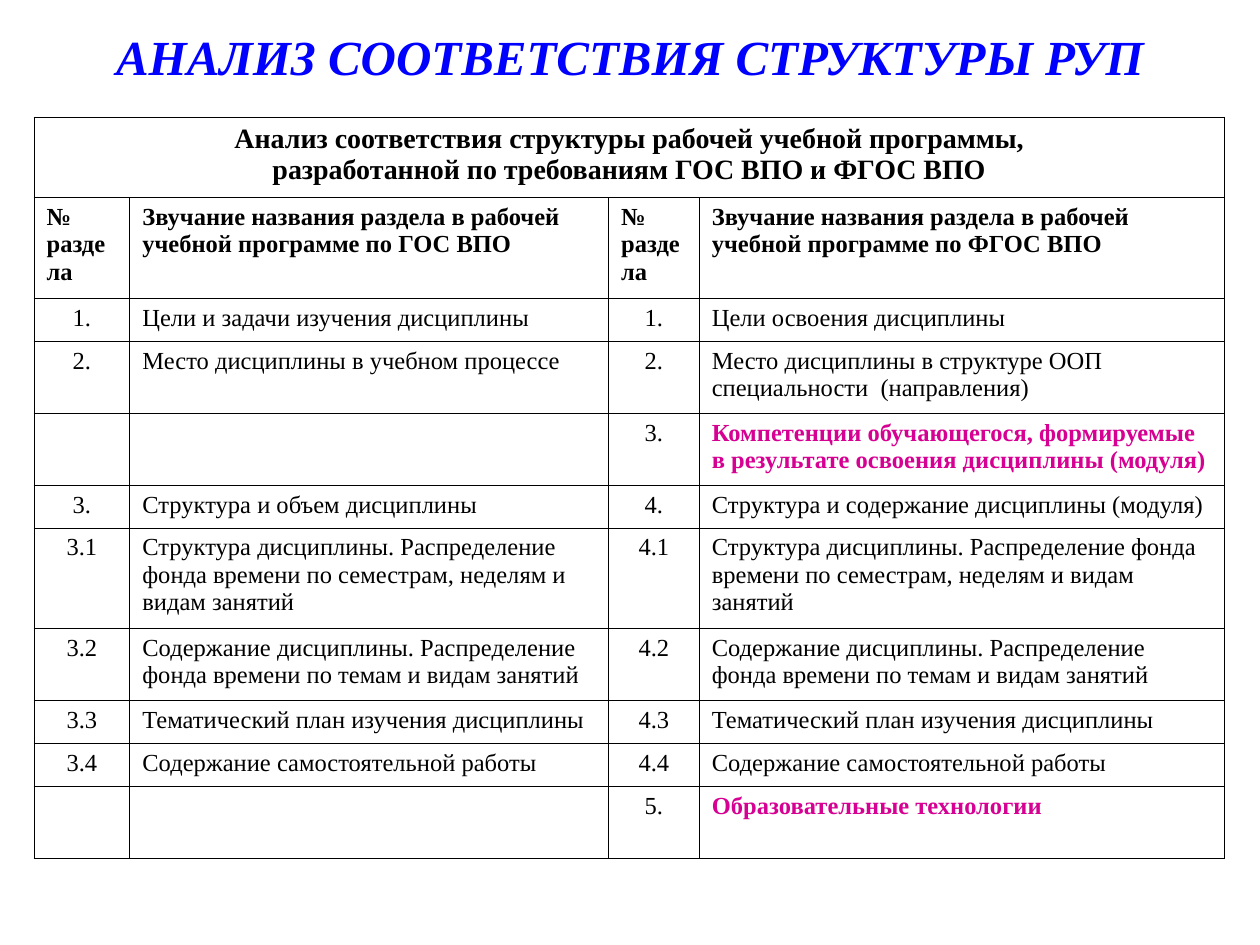
import dataclasses

import lxml.etree
import pptx
import pptx.dml.color
import pptx.enum.text
import pptx.oxml.ns
import pptx.table
import pptx.text.text
import pptx.util

FONT = "Times New Roman"
BLACK, BLUE, MAGENTA = "000000", "0000FF", "D60093"
SLIDE_WIDTH, SLIDE_HEIGHT = 10, 7.5
COLUMN_WIDTHS = (0.76, 3.8, 0.72, 4.17)
BANNER_HEIGHT = 0.64
LINE_HEIGHT, ROW_PADDING = 0.23, 0.11
CENTER = pptx.enum.text.PP_ALIGN.CENTER
LEFT = pptx.enum.text.PP_ALIGN.LEFT


@dataclasses.dataclass(frozen=True)
class TextStyle:
    size: float = 14
    color: str = BLACK
    bold: bool = False
    italic: bool = False
    align: pptx.enum.text.PP_ALIGN = LEFT


@dataclasses.dataclass(frozen=True)
class Section:
    """One comparison row; its height follows from the number of text lines."""
    old_number: str
    old_name: str
    new_number: str
    new_name: str
    lines: int = 1
    is_new: bool = False


TITLE = TextStyle(28, BLUE, bold=True, italic=True, align=CENTER)
BANNER = TextStyle(16, bold=True, align=CENTER)
HEADING = TextStyle(bold=True)
NUMBER = TextStyle(align=CENTER)
NAME = TextStyle()
NEW_NAME = TextStyle(color=MAGENTA, bold=True)

BANNER_TEXT = ("Анализ соответствия структуры рабочей учебной программы,\n"
               "разработанной по требованиям ГОС ВПО и ФГОС ВПО")
NUMBER_HEADING = "№ раздела"
NAME_HEADING = "Звучание названия раздела в рабочей учебной программе по {} ВПО"
HEADINGS = (NUMBER_HEADING, NAME_HEADING.format("ГОС"),
            NUMBER_HEADING, NAME_HEADING.format("ФГОС"))
HEADING_LINES = 3

# Subsections keep their names; only the parent number changes from 3 to 4.
SHARED_SUBSECTIONS = (
    ("Структура дисциплины. Распределение фонда времени по семестрам, "
     "неделям и видам занятий", 3),
    ("Содержание дисциплины. Распределение фонда времени по темам "
     "и видам занятий", 2),
    ("Тематический план изучения дисциплины", 1),
    ("Содержание самостоятельной работы", 1),
)
SECTIONS = (
    Section("1.", "Цели и задачи изучения дисциплины", "1.", "Цели освоения дисциплины"),
    Section("2.", "Место дисциплины в учебном процессе",
            "2.", "Место дисциплины в структуре ООП специальности  (направления)", 2),
    Section("", "", "3.", "Компетенции обучающегося, формируемые в результате "
            "освоения дисциплины (модуля)", 2, is_new=True),
    Section("3.", "Структура и объем дисциплины",
            "4.", "Структура и содержание дисциплины (модуля)"),
    *(Section(f"3.{index}", name, f"4.{index}", name, lines)
      for index, (name, lines) in enumerate(SHARED_SUBSECTIONS, 1)),
    Section("", "", "5.", "Образовательные технологии", 2, is_new=True),
)


def rgb(color: str) -> pptx.dml.color.RGBColor:
    return pptx.dml.color.RGBColor.from_string(color)


def write(frame: pptx.text.text.TextFrame, text: str, style: TextStyle) -> None:
    frame.word_wrap = True
    frame.text = text
    for para in frame.paragraphs:
        para.alignment = style.align
        for span in para.runs:
            span.font.name = FONT
            span.font.size = pptx.util.Pt(style.size)
            span.font.bold = style.bold
            span.font.italic = style.italic
            span.font.color.rgb = rgb(style.color)


def draw_borders(cell: pptx.table._Cell, color: str = BLACK, width: float = 0.45) -> None:
    properties = cell._tc.get_or_add_tcPr()
    qn = pptx.oxml.ns.qn
    for side in ("a:lnL", "a:lnR", "a:lnT", "a:lnB"):
        line = lxml.etree.SubElement(properties, qn(side), w=str(pptx.util.Pt(width)))
        fill = lxml.etree.SubElement(line, qn("a:solidFill"))
        lxml.etree.SubElement(fill, qn("a:srgbClr"), val=color)


def text_row_height(lines: int) -> float:
    return ROW_PADDING + LINE_HEIGHT * lines


def add_title(slide) -> None:
    box = slide.shapes.add_textbox(*map(pptx.util.Inches, (0.5, -0.18, 9, 1.25)))
    write(box.text_frame, "АНАЛИЗ СООТВЕТСТВИЯ СТРУКТУРЫ РУП", TITLE)
    box.text_frame.vertical_anchor = pptx.enum.text.MSO_ANCHOR.MIDDLE


def add_comparison_table(slide) -> None:
    heights = [BANNER_HEIGHT, text_row_height(HEADING_LINES),
               *(text_row_height(section.lines) for section in SECTIONS)]
    area = (0.27, 0.93, sum(COLUMN_WIDTHS), sum(heights))
    table = slide.shapes.add_table(len(heights), len(COLUMN_WIDTHS),
                                   *map(pptx.util.Inches, area)).table
    table.first_row = table.horz_banding = False
    for column, width in zip(table.columns, COLUMN_WIDTHS):
        column.width = pptx.util.Inches(width)
    for row, height in zip(table.rows, heights):
        row.height = pptx.util.Inches(height)
    for cell in table.iter_cells():
        draw_borders(cell)
        cell.fill.background()

    table.cell(0, 0).merge(table.cell(0, len(COLUMN_WIDTHS) - 1))
    write(table.cell(0, 0).text_frame, BANNER_TEXT, BANNER)
    for column, heading in enumerate(HEADINGS):
        write(table.cell(1, column).text_frame, heading, HEADING)
    for row, section in enumerate(SECTIONS, 2):
        entries = (
            (section.old_number, NUMBER),
            (section.old_name, NAME),
            (section.new_number, NUMBER),
            (section.new_name, NEW_NAME if section.is_new else NAME),
        )
        for column, (text, style) in enumerate(entries):
            if text:
                write(table.cell(row, column).text_frame, text, style)


def main() -> None:
    deck = pptx.Presentation()
    deck.slide_width = pptx.util.Inches(SLIDE_WIDTH)
    deck.slide_height = pptx.util.Inches(SLIDE_HEIGHT)
    slide = deck.slides.add_slide(deck.slide_layouts[6])
    add_title(slide)
    add_comparison_table(slide)
    deck.save("out.pptx")


if __name__ == "__main__":
    main()
